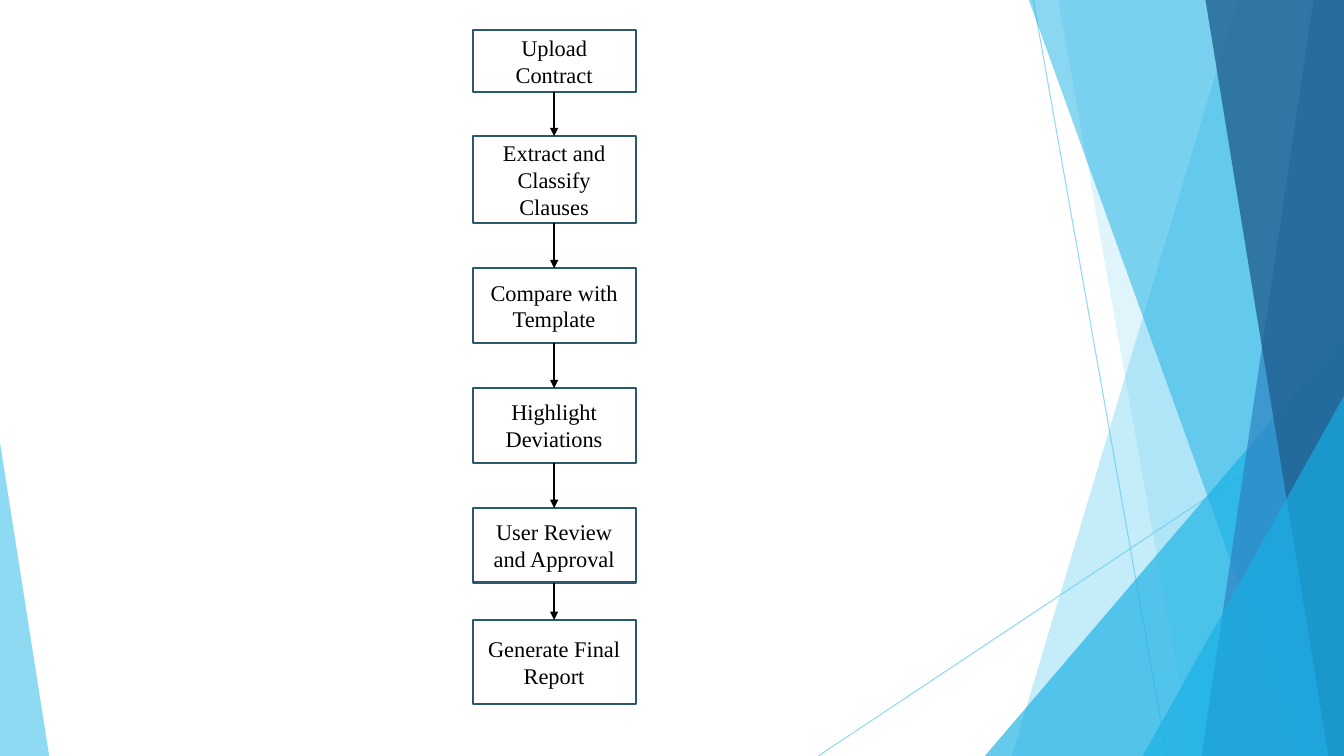
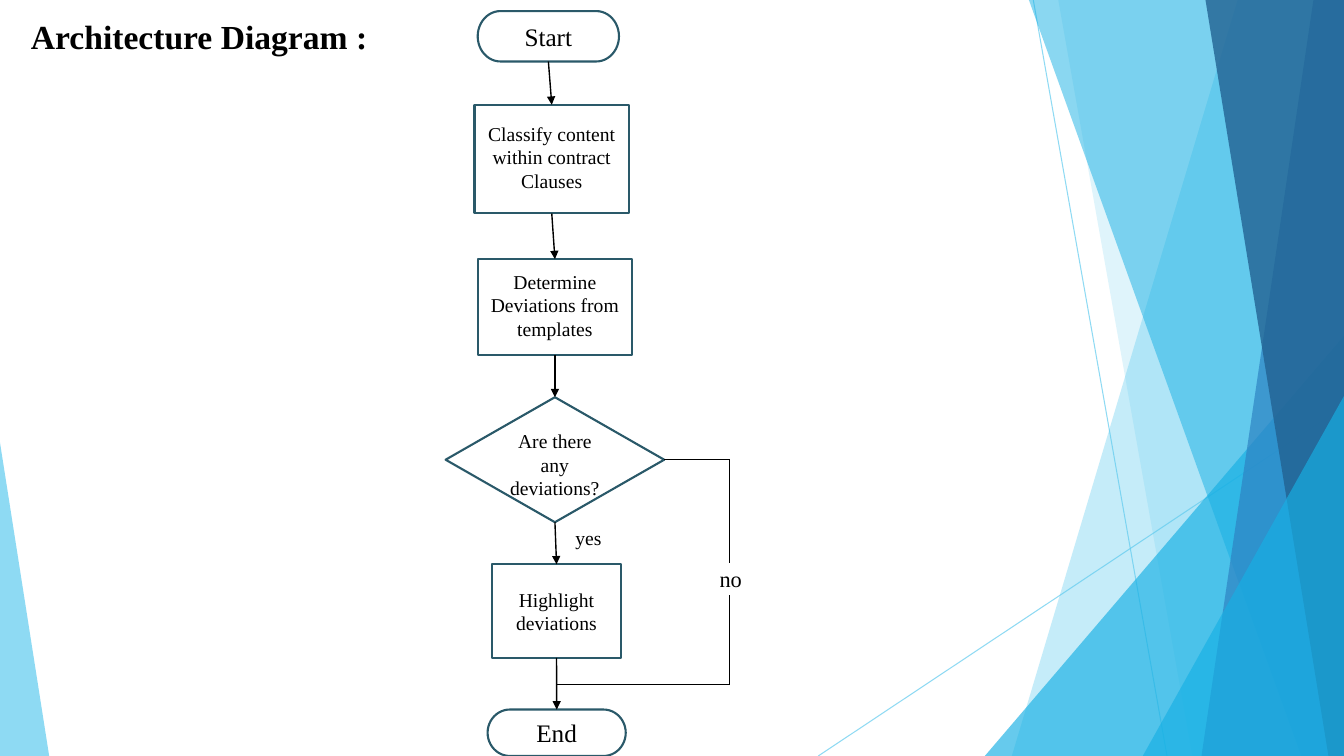
"""Build two flowchart slides over a shared backdrop of blue facets."""
from dataclasses import dataclass
from itertools import pairwise

import lxml.etree
import pptx
import pptx.dml.color
import pptx.enum.shapes
import pptx.enum.text
import pptx.oxml.ns
import pptx.shapes.base
import pptx.shapes.connector
import pptx.slide
import pptx.util

Cm = pptx.util.Cm
Pt = pptx.util.Pt
Kind = pptx.enum.shapes.MSO_SHAPE
Base = pptx.shapes.base.BaseShape
Line = pptx.shapes.connector.Connector
Slide = pptx.slide.Slide
qn = pptx.oxml.ns.qn

WIDE, HIGH = 33.87, 19.05
FONT = "Times New Roman"
INSET = 0.13
HUES = {
    "paper": "FFFFFF",
    "ink": "000000",
    "edge": "2A5969",
    "sky": "5FCBEF",
    "azure": "17B0E4",
    "blue": "2E83C3",
    "navy": "226292",
}


@dataclass(frozen=True)
class Band:
    top: float
    base: float
    hue: str
    alpha: int


@dataclass(frozen=True)
class Wedge:
    left: float
    top: float
    width: float
    tip: float
    hue: str
    alpha: int


@dataclass(frozen=True)
class Ray:
    start: tuple[float, float]
    end: tuple[float, float]


@dataclass(frozen=True)
class Node:
    text: str
    left: float
    top: float
    width: float
    height: float
    size: int = 14
    kind: Kind = Kind.RECTANGLE
    edge: str = "edge"
    lift: float = 0


FACETS = (
    Ray((26.04, 0), (29.41, HIGH)),
    Ray((WIDE, 10.24), (20.62, HIGH)),
    Band(31.19, 25.5, "sky", 36),
    Band(26.67, 30.05, "sky", 20),
    Wedge(24.82, 8.46, 9.05, 1, "azure", 66),
    Band(25.93, 32.79, "azure", 50),
    Band(33.1, 30.28, "blue", 70),
    Band(30.38, 33.48, "navy", 80),
    Wedge(28.8, 9.98, 5.07, 1, "azure", 66),
    Wedge(0, 11.15, 1.24, 0, "sky", 70),
)
STEPS = (
    ("Upload Contract", 0.76, 1.55),
    ("Extract and Classify Clauses", 3.43, 2.18),
    ("Compare with Template", 6.76, 1.88),
    ("Highlight Deviations", 9.78, 1.88),
    ("User Review and Approval", 12.8, 1.88),
    ("Generate Final Report", 15.62, 2.13),
)
FLOW = (
    Node("Start", 12.04, 0.28, 3.56, 1.27, 18, Kind.FLOWCHART_TERMINATOR),
    Node("Classify content within contract Clauses", 11.96, 2.64, 3.89, 2.74, lift=0.05),
    Node("Determine Deviations from templates", 12.04, 6.53, 3.89, 2.41, lift=0.05),
    Node("Are there any deviations?", 11.23, 10.01, 5.51, 3.15,
         kind=Kind.FLOWCHART_DECISION, lift=-0.12),
    Node("Highlight deviations", 12.4, 14.22, 3.25, 2.36, kind=Kind.FLOWCHART_PROCESS),
    Node("End", 12.29, 17.88, 3.48, 1.17, 18, Kind.FLOWCHART_TERMINATOR),
)
DETOUR = ((16.74, 11.58), (18.39, 11.58), (18.39, 17.25), (14.02, 17.25))
LABELS = (
    Node("yes", 14.17, 13.16, 1.32, 0.79, edge="paper"),
    Node("no", 17.78, 14.22, 1.27, 0.74, 16, edge="paper"),
)


def tint(name: str) -> pptx.dml.color.RGBColor:
    return pptx.dml.color.RGBColor.from_string(HUES[name])


def fade(shape: Base, alpha: int) -> None:
    for mark in shape.element.iter(qn("a:srgbClr")):
        lxml.etree.SubElement(mark, qn("a:alpha"), val=str(alpha * 1000))


def draw_line(slide: Slide, ray: Ray, hue: str = "ink", width: float = 1,
              arrow: bool = False) -> Line:
    ends = [Cm(value) for value in (*ray.start, *ray.end)]
    line = slide.shapes.add_connector(pptx.enum.shapes.MSO_CONNECTOR.STRAIGHT, *ends)
    line.line.color.rgb = tint(hue)
    line.line.width = Pt(width)
    frame = line.element.find(qn("p:spPr"))
    if arrow:
        lxml.etree.SubElement(frame.find(qn("a:ln")), qn("a:tailEnd"), type="triangle")
    lxml.etree.SubElement(frame, qn("a:effectLst"))
    return line


def draw_facet(slide: Slide, facet: Band | Wedge | Ray) -> Base:
    if isinstance(facet, Ray):
        line = draw_line(slide, facet, "sky", 0.75)
        fade(line, 70)
        return line
    if isinstance(facet, Band):
        pen = slide.shapes.build_freeform(Cm(facet.top), 0)
        rest = ((WIDE, 0), (WIDE, HIGH), (facet.base, HIGH))
        pen.add_line_segments([(Cm(x), Cm(y)) for x, y in rest])
        shape = pen.convert_to_shape()
    else:
        shape = slide.shapes.add_shape(
            Kind.ISOSCELES_TRIANGLE, Cm(facet.left), Cm(facet.top),
            Cm(facet.width), Cm(HIGH - facet.top))
        shape.adjustments[0] = facet.tip
    shape.shadow.inherit = False
    shape.fill.solid()
    shape.fill.fore_color.rgb = tint(facet.hue)
    shape.line.fill.background()
    fade(shape, facet.alpha)
    return shape


def dress(layout: pptx.slide.SlideLayout, slide: Slide) -> None:
    for holder in list(layout.placeholders):
        layout.shapes.element.remove(holder.element)
    for shape in [draw_facet(slide, facet) for facet in FACETS]:
        layout.shapes.element.append(shape.element)


def write(shape: Base, text: str, size: int, bold: bool = False) -> None:
    para = shape.text_frame.paragraphs[0]
    para.text = text
    para.font.name = FONT
    para.font.size = Pt(size)
    para.font.bold = bold
    para.font.color.rgb = tint("ink")


def draw_node(slide: Slide, node: Node) -> Base:
    shape = slide.shapes.add_shape(
        node.kind, Cm(node.left), Cm(node.top), Cm(node.width), Cm(node.height))
    shape.shadow.inherit = False
    shape.fill.solid()
    shape.fill.fore_color.rgb = tint("paper")
    shape.line.color.rgb = tint(node.edge)
    shape.line.width = Pt(1.5)
    write(shape, node.text, node.size)
    frame = shape.text_frame
    frame.word_wrap = True
    frame.vertical_anchor = pptx.enum.text.MSO_ANCHOR.MIDDLE
    frame.margin_top = Cm(INSET + 2 * max(-node.lift, 0))
    frame.margin_bottom = Cm(INSET + 2 * max(node.lift, 0))
    frame.paragraphs[0].alignment = pptx.enum.text.PP_ALIGN.CENTER
    return shape


def draw_chain(slide: Slide, nodes: list[Node]) -> None:
    shapes = [draw_node(slide, node) for node in nodes]
    for upper, lower in pairwise(shapes):
        line = draw_line(slide, Ray((0, 0), (0, 0)), arrow=True)
        line.begin_connect(upper, 2)
        line.end_connect(lower, 0)


def draw_title(slide: Slide, text: str) -> None:
    box = slide.shapes.add_textbox(Cm(0.53), Cm(0.28), Cm(9.3), Cm(1.27))
    box.text_frame.word_wrap = False
    write(box, text, 24, bold=True)


def main() -> None:
    deck = pptx.Presentation()
    deck.slide_width, deck.slide_height = Cm(WIDE), Cm(HIGH)
    blank = deck.slide_layouts[6]

    steps = deck.slides.add_slide(blank)
    dress(blank, steps)
    draw_chain(steps, [Node(text, 11.91, top, 4.11, height, 16)
                       for text, top, height in STEPS])

    chart = deck.slides.add_slide(blank)
    draw_title(chart, "Architecture Diagram :")
    draw_chain(chart, list(FLOW))
    for start, end in pairwise(DETOUR):
        draw_line(chart, Ray(start, end))
    for label in LABELS:
        draw_node(chart, label)

    deck.save("out.pptx")


if __name__ == "__main__":
    main()
